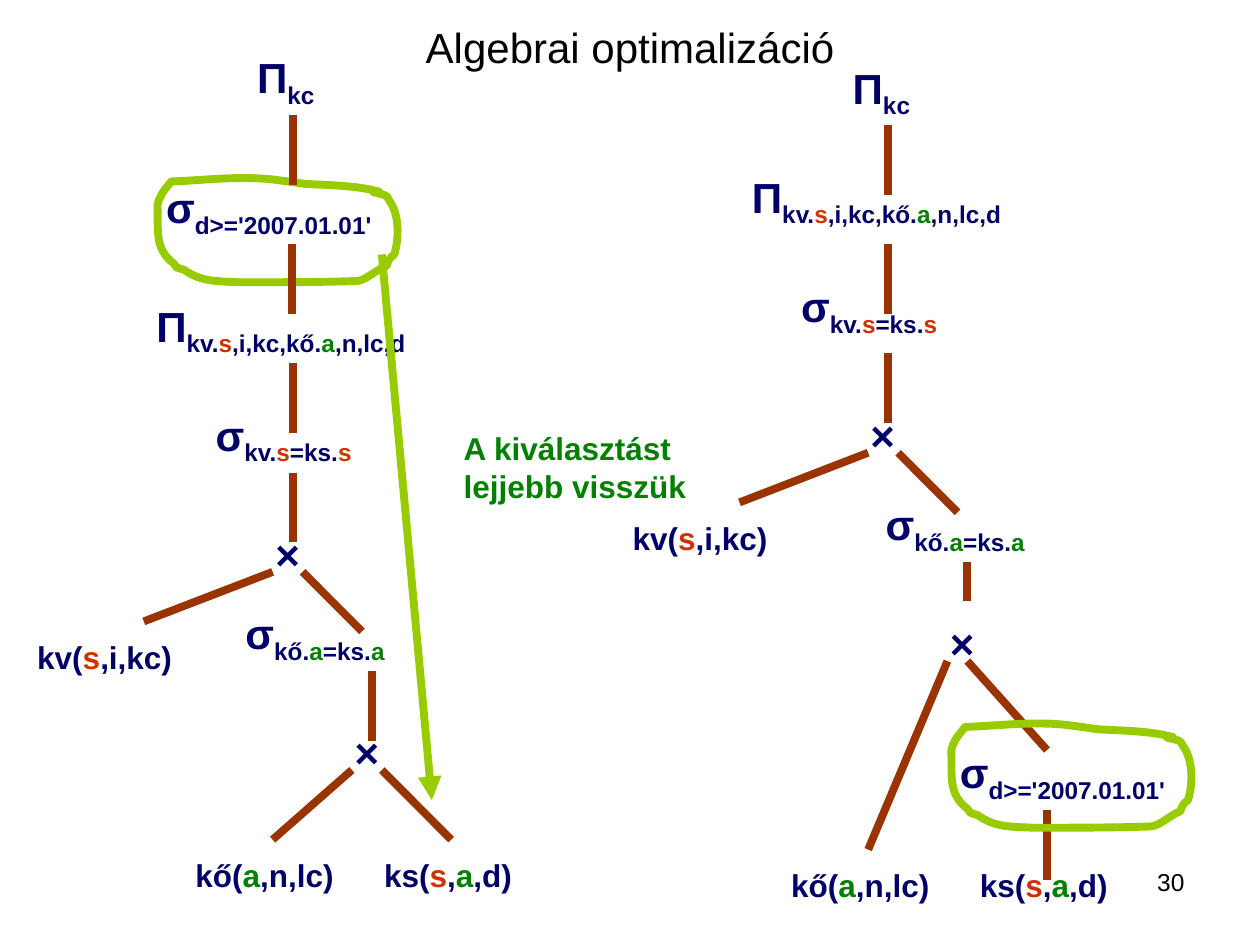
from lxml import etree
from pptx import Presentation
from pptx.dml.color import RGBColor
from pptx.enum.shapes import MSO_CONNECTOR
from pptx.enum.text import MSO_ANCHOR, MSO_AUTO_SIZE, PP_ALIGN
from pptx.oxml.ns import qn
from pptx.util import Pt

STRAIGHT = MSO_CONNECTOR.STRAIGHT
LEFT, CENTER, RIGHT = PP_ALIGN.LEFT, PP_ALIGN.CENTER, PP_ALIGN.RIGHT
MIDDLE = MSO_ANCHOR.MIDDLE
NO_FIT, GROW = MSO_AUTO_SIZE.NONE, MSO_AUTO_SIZE.SHAPE_TO_FIT_TEXT

THEME = {
    "font": "Arial", "title": 24, "operator": 24, "relation": 18, "number": 14,
    "black": "000000", "navy": "000066", "red": "CC3300", "green": "008000",
    "edge": "993300", "accent": "99CC00", "line": 4.5,
}

# Content: operators as (symbol, subscript, width, height); *x* marks a join attribute
TITLE = "Algebrai optimalizáció"
NOTE = "A kiválasztást lejjebb visszük"
NUMBER = "30"
ATTRIBUTES = {"s": "red", "a": "green"}
OPERATORS = {
    "result": ("Π", "kc", 48.2, 40),
    "columns": ("Π", "kv.*s*,i,kc,kő.*a*,n,lc,d", 181.4, 40),
    "join s": ("σ", "kv.*s*=ks.*s*", 221, 40),
    "join a": ("σ", "kő.*a*=ks.*a*", 221, 40),
    "date": ("σ", "d>='2007.01.01'", 158.4, 40),
    "product": ("×", "", 68.4, 36),
}
RELATIONS = {
    "kv": ("kv(*s*,i,kc)", 108, 29),
    "kő": ("kő(*a*,n,lc)", 96.5, 29),
    "ks": ("ks(*s*,*a*,d)", 96.5, 29),
}

# Trees: node positions and edges (x1, y1, x2, y2)
BEFORE = {
    "nodes": [
        ("result", 139.8, 26.1), ("date", 87.9, 100.2), ("columns", 82.2, 168),
        ("join s", 116.2, 230.4), ("product", 150.2, 298.3), ("kv", 14.2, 361),
        ("join a", 133.2, 343.6), ("product", 195.6, 411.8),
        ("kő", 104.6, 485.6), ("ks", 212.4, 485.6),
    ],
    "edges": [
        (167.2, 65.7, 167.2, 105.8), (167, 139.7, 167, 179.3), (167.2, 207.5, 167.2, 247.6),
        (167.2, 270, 167.2, 309.7), (155.8, 326.8, 82.2, 355.1), (172.9, 326.8, 206.9, 360.8),
        (212.5, 383.5, 212.5, 423.2), (201.1, 440, 155.8, 479.8),
        (218.2, 440, 257.8, 479.8),
    ],
}
AFTER = {
    "nodes": [
        ("result", 480.2, 31.9), ("columns", 422.6, 94.4), ("join s", 450.8, 157),
        ("product", 490.3, 230.4), ("kv", 354.4, 293), ("join a", 499, 281.5),
        ("product", 535.7, 349.2), ("date", 541.4, 423.2),
        ("kő", 445, 491.2), ("ks", 552.8, 491.2),
    ],
    "edges": [
        (507.4, 71.5, 507.4, 111.4), (507.6, 139.7, 507.6, 179.4),
        (507.6, 202, 507.6, 241.8), (496.1, 258.7, 422.6, 287.1),
        (513.2, 258.7, 547.2, 292.8), (552.8, 321.1, 552.8, 343.6),
        (541.4, 377.8, 496.1, 485.5), (552.8, 377.8, 598.3, 428.6),
        (598.3, 463, 598.3, 502.6),
    ],
}
MOVE_ARROW = (218.2, 145.4, 246.8, 457.2)

# Hand-drawn loop: start, then two control points and an end for each curve
LOOP_START = (128.9, 9.4)
LOOP_CURVES = [
    ((115.2, 5.8), (100.8, 5.8), (86.4, 5)), ((81.4, 4.3), (77, 3.6), (71.3, 2.9)),
    ((51.1, 0), (30.2, 2.9), (10.1, 3.6)), ((7.9, 6.5), (5, 9.4), (3.6, 13)),
    ((2.9, 13.7), (2.2, 17.3), (2.2, 17.3)), ((2.9, 31), (0, 41.8), (11.5, 50.4)),
    ((12.2, 51.1), (12.2, 51.8), (13, 52.6)), ((14.4, 53.3), (17.3, 54), (17.3, 54)),
    ((27.4, 61.2), (36, 60.5), (49, 61.2)), ((71.3, 61.2), (93.6, 61.2), (115.9, 60.5)),
    ((121, 60.5), (128.2, 53.3), (133.2, 51.8)), ((133.9, 49), (134.6, 47.5), (137.5, 45.4)),
    ((140.4, 36), (140.4, 22.3), (134.6, 14.4)), ((133.2, 10.8), (131.8, 11.5), (127.4, 10.1)),
    ((126.7, 10.1), (125.3, 10.1), (125.3, 9.4)), ((126, 8.6), (127.4, 9.4), (128.9, 9.4)),
]


def color(name):
    return RGBColor.from_string(THEME[name])


def add_run(p, text, size, ink, bold=True, subscript=False):
    r = p.add_run()
    r.text = text
    r.font.name, r.font.size, r.font.bold = THEME["font"], Pt(THEME[size]), bold
    r.font.color.rgb = color(ink)
    if subscript:
        r.font._element.set("baseline", "-25000")


def add_marked(p, text, size, subscript=False):
    for i, part in enumerate(text.split("*")):
        if part:
            add_run(p, part, size, ATTRIBUTES[part] if i % 2 else "navy", subscript=subscript)


def add_box(s, x, y, w, h, align=LEFT, wrap=True, fit=GROW):
    tf = s.shapes.add_textbox(Pt(x), Pt(y), Pt(w), Pt(h)).text_frame
    tf.word_wrap, tf.auto_size = wrap, fit
    tf.paragraphs[0].alignment = align
    return tf.paragraphs[0]


def add_line(s, ends, ink, arrow=False):
    c = s.shapes.add_connector(STRAIGHT, *(Pt(v) for v in ends))
    c.line.color.rgb, c.line.width = color(ink), Pt(THEME["line"])
    if arrow:
        etree.SubElement(c.line._get_or_add_ln(), qn("a:tailEnd"), type="triangle")
    etree.SubElement(c._element.spPr, qn("a:effectLst"))


def add_tree(s, tree):
    for edge in tree["edges"]:
        add_line(s, edge, "edge")
    for name, x, y in tree["nodes"]:
        if name in OPERATORS:
            symbol, subscript, w, h = OPERATORS[name]
            p = add_box(s, x, y, w, h, wrap=name != "result")
            add_run(p, symbol, "operator", "navy")
            add_marked(p, subscript, "operator", subscript=True)
        else:
            text, w, h = RELATIONS[name]
            add_marked(add_box(s, x, y, w, h), text, "relation")


def add_loop(s, x, y):
    builder = s.shapes.build_freeform(*(Pt(v) for v in LOOP_START))
    points = [(Pt(px), Pt(py)) for curve in LOOP_CURVES for px, py in curve]
    builder.add_line_segments(points, close=True)
    sp = builder.convert_to_shape(Pt(x), Pt(y))
    # Join every three segments into one Bézier curve
    segments = list(sp._element.iter(qn("a:lnTo")))
    for i in range(0, len(segments), 3):
        curve = etree.Element(qn("a:cubicBezTo"))
        segments[i].addprevious(curve)
        for segment in segments[i:i + 3]:
            curve.append(segment[0])
            segment.getparent().remove(segment)
    sp.shadow.inherit = False
    sp.fill.background()
    sp.line.color.rgb, sp.line.width = color("accent"), Pt(THEME["line"])


prs = Presentation()
prs.slide_width, prs.slide_height = Pt(720), Pt(540)
s = prs.slides.add_slide(prs.slide_layouts[5])

# Title
sp = s.shapes.title
sp.left, sp.top, sp.width, sp.height = Pt(36), Pt(21.6), Pt(648), Pt(10)
tf = sp.text_frame
tf.auto_size, tf.vertical_anchor, tf.word_wrap = NO_FIT, MIDDLE, True
tf.paragraphs[0].alignment = CENTER
add_run(tf.paragraphs[0], TITLE, "title", "black", bold=False)

# Trees, with the date selection circled in each
add_loop(s, 87.8, 100.1)
add_tree(s, BEFORE)
add_tree(s, AFTER)
add_loop(s, 541.4, 411.8)

# Note and the move it describes
add_run(add_box(s, 257.9, 241.9, 147.6, 50.4), NOTE, "relation", "green")
add_line(s, MOVE_ARROW, "accent", arrow=True)

# Slide number
p = add_box(s, 516.2, 491.8, 167.8, 37.4, RIGHT, fit=NO_FIT)
add_run(p, NUMBER, "number", "black", bold=False)

prs.save("out.pptx")
